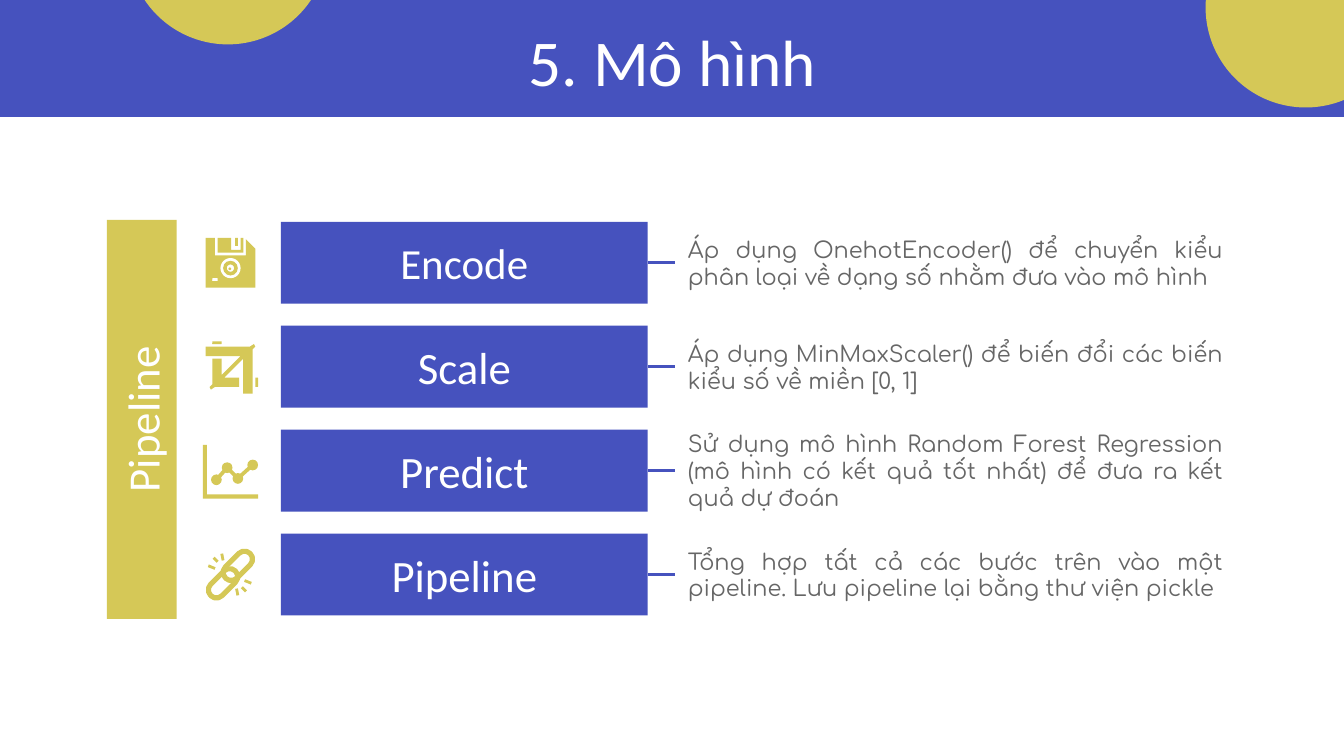
from typing import NamedTuple

from lxml import etree
from pptx import Presentation
from pptx import util as u
from pptx.dml.color import RGBColor
from pptx.enum import shapes, text
from pptx.oxml.ns import qn

BLUE = RGBColor(0x46, 0x52, 0xBE)
YELLOW = RGBColor(0xD5, 0xC8, 0x57)
GREY = RGBColor(0x66, 0x66, 0x66)
WHITE = RGBColor(0xFF, 0xFF, 0xFF)

RECTANGLE = shapes.MSO_SHAPE.RECTANGLE
ROUNDED = shapes.MSO_SHAPE.ROUNDED_RECTANGLE
OVAL = shapes.MSO_SHAPE.OVAL
DONUT = shapes.MSO_SHAPE.DONUT
CENTER = text.PP_ALIGN.CENTER
MIDDLE = text.MSO_ANCHOR.MIDDLE

SLIDE_WIDTH = 10
SLIDE_HEIGHT = SLIDE_WIDTH * 9 / 16
FIRST_TOP, LAST_TOP, STEP_HEIGHT = 1.65, 3.97, 0.61
STEP_LEFT, STEP_WIDTH = 2.09, 2.73
NOTE_LEFT, NOTE_WIDTH, NOTE_HEIGHT = 5.02, 4.18, 0.78


class Point(NamedTuple):
    x: float
    y: float


class Box(NamedTuple):
    left: float
    top: float
    width: float
    height: float

    def lengths(self) -> list[u.Length]:
        return [u.Inches(value) for value in self]


class Step(NamedTuple):
    name: str
    size: int
    note: str


STEPS = [
    Step("Encode", 23, "Áp dụng OnehotEncoder() để chuyển kiểu phân loại về dạng số nhằm đưa vào mô hình"),
    Step("Scale", 24, "Áp dụng MinMaxScaler() để biến đổi các biến kiểu số về miền [0, 1]"),
    Step("Predict", 24, "Sử dụng mô hình Random Forest Regression (mô hình có kết quả tốt nhất) để đưa ra kết quả dự đoán"),
    Step("Pipeline", 24, "Tổng hợp tất cả các bước trên vào một pipeline. Lưu pipeline lại bằng thư viện pickle"),
]


def write_text(shape, content: str, *, size: float, color=WHITE, font="Calibri",
               align=CENTER, anchor=MIDDLE) -> None:
    frame = shape.text_frame
    frame.word_wrap = True
    frame.auto_size = text.MSO_AUTO_SIZE.NONE
    frame.vertical_anchor = anchor
    frame.margin_left = frame.margin_right = u.Inches(0.1)
    frame.margin_top = frame.margin_bottom = u.Inches(0.1)
    paragraph = frame.paragraphs[0]
    paragraph.alignment = align
    run = paragraph.add_run()
    run.text = content
    run.font.name = font
    run.font.size = u.Pt(size)
    run.font.color.rgb = color


def paint(shape, color: RGBColor):
    """Fill a shape flat, without outline or shadow."""
    shape.shadow.inherit = False
    shape.fill.solid()
    shape.fill.fore_color.rgb = color
    shape.line.fill.background()
    return shape


def add_preset(slide, preset, box: Box, color=YELLOW, rotation: float = 0):
    shape = paint(slide.shapes.add_shape(preset, *box.lengths()), color)
    shape.rotation = rotation
    return shape


def add_polygon(slide, corners: list[tuple[float, float]]) -> None:
    first, *others = [(u.Inches(x), u.Inches(y)) for x, y in corners]
    builder = slide.shapes.build_freeform(*first)
    builder.add_line_segments(others)
    paint(builder.convert_to_shape(), YELLOW)


def add_line(slide, start: Point, end: Point, color=YELLOW, width: float = 1.5) -> None:
    line = slide.shapes.add_connector(
        shapes.MSO_CONNECTOR.STRAIGHT, *[u.Inches(value) for value in (*start, *end)])
    line.line.color.rgb = color
    line.line.width = u.Pt(width)
    properties = line.element.find(qn("p:spPr"))
    etree.SubElement(properties, qn("a:effectLst"))


def add_step(slide, step: Step, top: float) -> None:
    box = add_preset(slide, RECTANGLE, Box(STEP_LEFT, top, STEP_WIDTH, STEP_HEIGHT), BLUE)
    write_text(box, step.name, size=step.size)
    middle = top + STEP_HEIGHT / 2
    note_box = Box(NOTE_LEFT, middle - NOTE_HEIGHT / 2, NOTE_WIDTH, NOTE_HEIGHT)
    note = slide.shapes.add_textbox(*note_box.lengths())
    write_text(note, step.note, size=12, color=GREY, font="Comfortaa",
               align=text.PP_ALIGN.JUSTIFY)
    add_line(slide, Point(STEP_LEFT + STEP_WIDTH, middle), Point(NOTE_LEFT, middle), BLUE)


def add_disk_icon(slide) -> None:
    add_polygon(slide, [(1.53, 1.77), (1.6, 1.77), (1.6, 1.9), (1.83, 1.9),
                        (1.83, 1.78), (1.9, 1.85), (1.9, 2.14), (1.53, 2.14)])
    add_polygon(slide, [(1.62, 1.77), (1.72, 1.77), (1.72, 1.86), (1.79, 1.86),
                        (1.79, 1.77), (1.81, 1.77), (1.81, 1.88), (1.62, 1.88)])
    add_preset(slide, RECTANGLE, Box(1.75, 1.77, 0.02, 0.06))
    add_preset(slide, OVAL, Box(1.64, 1.92, 0.15, 0.15), WHITE)
    add_preset(slide, DONUT, Box(1.66, 1.94, 0.11, 0.11))
    add_preset(slide, OVAL, Box(1.7, 1.99, 0.02, 0.02))
    add_preset(slide, ROUNDED, Box(1.58, 2.07, 0.04, 0.02), WHITE)


def add_crop_icon(slide) -> None:
    add_polygon(slide, [
        (1.53, 2.58), (1.86, 2.58), (1.89, 2.56), (1.9, 2.58), (1.88, 2.6),
        (1.88, 2.93), (1.81, 2.93), (1.81, 2.67), (1.67, 2.81), (1.78, 2.81),
        (1.78, 2.88), (1.6, 2.88), (1.57, 2.9), (1.56, 2.88), (1.58, 2.86),
        (1.58, 2.67), (1.65, 2.67), (1.65, 2.79), (1.79, 2.65), (1.53, 2.65)])
    add_preset(slide, ROUNDED, Box(1.58, 2.54, 0.07, 0.02))
    add_preset(slide, ROUNDED, Box(1.9, 2.81, 0.02, 0.07))


def add_chart_icon(slide) -> None:
    add_polygon(slide, [(1.51, 3.31), (1.54, 3.31), (1.54, 3.68),
                        (1.92, 3.68), (1.92, 3.71), (1.51, 3.71)])
    dots = [Point(1.61, 3.57), Point(1.69, 3.48), Point(1.77, 3.56), Point(1.88, 3.46)]
    for start, end in zip(dots, dots[1:]):
        add_line(slide, start, end, width=2)
    for dot in dots:
        add_preset(slide, OVAL, Box(dot.x - 0.04, dot.y - 0.04, 0.08, 0.08))


def add_chain_icon(slide) -> None:
    for center in (Point(1.66, 4.34), Point(1.77, 4.21)):
        link = add_preset(slide, ROUNDED, Box(center.x - 0.13, center.y - 0.06, 0.26, 0.12),
                          rotation=-45)
        link.adjustments[0] = 0.5
        link.fill.background()
        link.line.color.rgb = YELLOW
        link.line.width = u.Pt(2.75)
    sparks = [(1.8, 4.37, 1.83, 4.4), (1.82, 4.32, 1.87, 4.34), (1.76, 4.38, 1.77, 4.43),
              (1.59, 4.15, 1.62, 4.18), (1.65, 4.12, 1.66, 4.17), (1.55, 4.21, 1.6, 4.23)]
    for left, top, right, bottom in sparks:
        add_line(slide, Point(left, top), Point(right, bottom))


def main() -> None:
    presentation = Presentation()
    presentation.slide_width = u.Inches(SLIDE_WIDTH)
    presentation.slide_height = u.Inches(SLIDE_HEIGHT)
    slide = presentation.slides.add_slide(presentation.slide_layouts[5])

    add_preset(slide, RECTANGLE, Box(0, 0, SLIDE_WIDTH, 0.87), BLUE)
    for left, top in ((8.97, -0.69), (0.95, -1.16)):
        add_preset(slide, OVAL, Box(left, top, 1.49, 1.49))

    title = slide.shapes.title
    title.left, title.top, title.width, title.height = Box(0.79, 0.06, 8.43, 0.63).lengths()
    write_text(title, "5. Mô hình", size=35, anchor=text.MSO_ANCHOR.TOP)
    title.element.getparent().append(title.element)  # in front of the header band

    side_bar = add_preset(slide, RECTANGLE, Box(-0.43, 2.86, 2.97, 0.52), rotation=270)
    write_text(side_bar, "Pipeline", size=24)

    pitch = (LAST_TOP - FIRST_TOP) / (len(STEPS) - 1)
    for index, step in enumerate(STEPS):
        add_step(slide, step, FIRST_TOP + index * pitch)
    for add_icon in (add_disk_icon, add_crop_icon, add_chart_icon, add_chain_icon):
        add_icon(slide)

    presentation.save("out.pptx")


if __name__ == "__main__":
    main()
